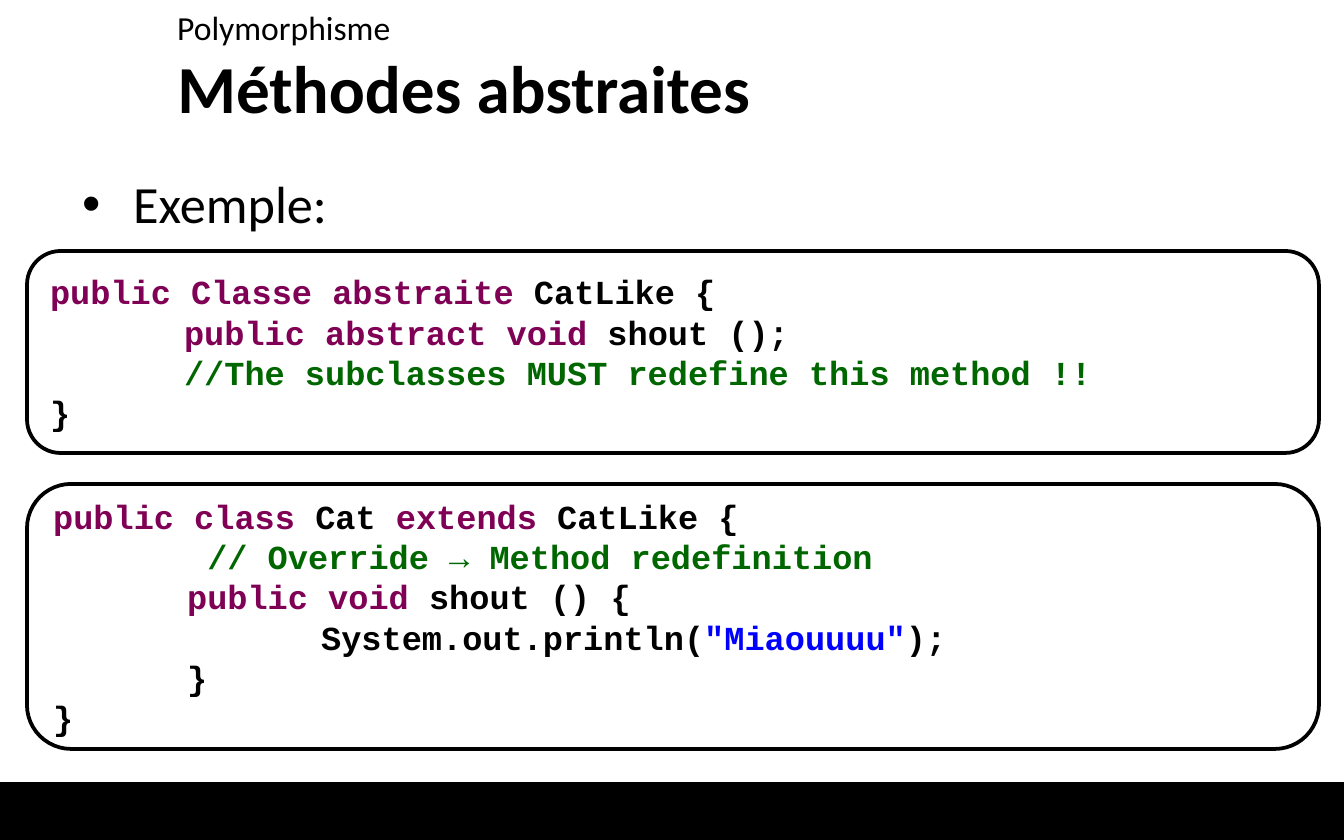
from dataclasses import dataclass

from lxml.etree import SubElement
from pptx import Presentation
from pptx.dml.color import RGBColor
from pptx.enum.shapes import MSO_SHAPE
from pptx.enum.text import MSO_ANCHOR, MSO_AUTO_SIZE, PP_ALIGN
from pptx.oxml.ns import qn
from pptx.util import Emu, Pt

EMU_PER_PX = 914400 / 134.4
TITLE_ONLY = 5


def px(length):
    return Emu(round(length * EMU_PER_PX))


@dataclass(frozen=True)
class Theme:
    text_font: str = "Calibri"
    code_font: str = "Courier New"
    title_size: int = 36
    body_size: int = 28
    small_size: int = 18
    outline: float = 2
    bar_outline: float = 0.75
    paper: str = "FFFFFF"
    plain: str = "000000"
    keyword: str = "7F0055"
    comment: str = "006600"
    string: str = "0000FF"


class SlideBuilder:
    def __init__(self, deck, theme):
        self.theme = theme
        self.slide = deck.slides.add_slide(deck.slide_layouts[TITLE_ONLY])

    def color(self, name):
        return RGBColor.from_string(getattr(self.theme, name))

    def style(self, para, font_name, size, bold=False):
        para.alignment = PP_ALIGN.LEFT
        para.font.name = font_name
        para.font.size = Pt(size)
        para.font.bold = bold
        para.font.color.rgb = self.color("plain")

    def title(self, text, left, top, width, height):
        title = self.slide.shapes.title
        title.left, title.top, title.width, title.height = map(px, (left, top, width, height))
        frame = title.text_frame
        frame.text = text
        frame.auto_size = MSO_AUTO_SIZE.NONE
        frame.vertical_anchor = MSO_ANCHOR.MIDDLE
        self.style(frame.paragraphs[0], self.theme.text_font, self.theme.title_size, bold=True)

    def text(self, text, left, top, width, height, size, bullet_indent=0):
        box = self.slide.shapes.add_textbox(*map(px, (left, top, width, height)))
        frame = box.text_frame
        frame.word_wrap = True
        frame.text = text
        para = frame.paragraphs[0]
        self.style(para, self.theme.text_font, size)
        properties = para._p.get_or_add_pPr()
        spacing = SubElement(properties, qn("a:spcBef"))
        SubElement(spacing, qn("a:spcPct")).set("val", "20000")
        properties.insert(0, spacing)
        if bullet_indent:
            properties.set("marL", str(px(bullet_indent)))
            properties.set("indent", str(-px(bullet_indent)))
            bullet_font = SubElement(properties, qn("a:buFont"))
            bullet_font.set("typeface", "Arial")
            bullet = SubElement(properties, qn("a:buChar"))
            bullet.set("char", "•")
            # The default run style closes the paragraph properties
            properties.append(properties.find(qn("a:defRPr")))
            properties.remove(bullet_font)
            properties.insert(1, bullet_font)
            properties.remove(bullet)
            properties.insert(2, bullet)

    def shape(self, kind, left, top, width, height, fill, outline):
        shape = self.slide.shapes.add_shape(kind, *map(px, (left, top, width, height)))
        shape.shadow.inherit = False
        shape.fill.solid()
        shape.fill.fore_color.rgb = self.color(fill)
        shape.line.color.rgb = self.color("plain")
        shape.line.width = Pt(outline)
        return shape

    def code(self, lines, left, top, width, height, tab=134):
        """Each line is its indent level followed by (kind, text) spans."""
        box = self.shape(MSO_SHAPE.ROUNDED_RECTANGLE, left, top, width, height,
                         "paper", self.theme.outline)
        frame = box.text_frame
        frame.word_wrap = True
        frame.vertical_anchor = MSO_ANCHOR.MIDDLE
        for number, (level, *spans) in enumerate(lines):
            para = frame.add_paragraph() if number else frame.paragraphs[0]
            self.style(para, self.theme.code_font, self.theme.small_size, bold=True)
            para._p.get_or_add_pPr().set("marL", str(px(level * tab)))
            for kind, text in spans:
                span = para.add_run()
                span.text = text
                span.font.color.rgb = self.color(kind)


ABSTRACT_CLASS = [
    (0, ("keyword", "public Classe abstraite "), ("plain", "CatLike {")),
    (1, ("keyword", "public abstract void "), ("plain", "shout ();")),
    (1, ("comment", "//The subclasses MUST redefine this method !!")),
    (0, ("plain", "}")),
]
SUBCLASS = [
    (0, ("keyword", "public class "), ("plain", "Cat "),
     ("keyword", "extends "), ("plain", "CatLike {")),
    (1, ("comment", " // Override → Method redefinition")),
    (1, ("keyword", "public void "), ("plain", "shout () {")),
    (2, ("plain", "System.out.println("), ("string", '"Miaouuuu"'), ("plain", ");")),
    (1, ("plain", "}")),
    (0, ("plain", "}")),
]


def main():
    deck = Presentation()
    deck.slide_width, deck.slide_height = px(1344), px(840)
    theme = Theme()
    page = SlideBuilder(deck, theme)

    # Footer bar
    page.shape(MSO_SHAPE.RECTANGLE, 0, 783, 1344, 60, "plain", theme.bar_outline)

    # Headings
    page.title("Méthodes abstraites", 164, 50, 1142, 74)
    page.text("Exemple:", 69, 165, 1218, 622, theme.body_size, bullet_indent=51)
    page.text("Polymorphisme", 164, 0, 1144, 50, theme.small_size)

    # Code examples
    page.code(ABSTRACT_CLASS, 27, 251, 1292, 202)
    page.code(SUBCLASS, 27, 484, 1292, 265)

    deck.save("out.pptx")


if __name__ == "__main__":
    main()
